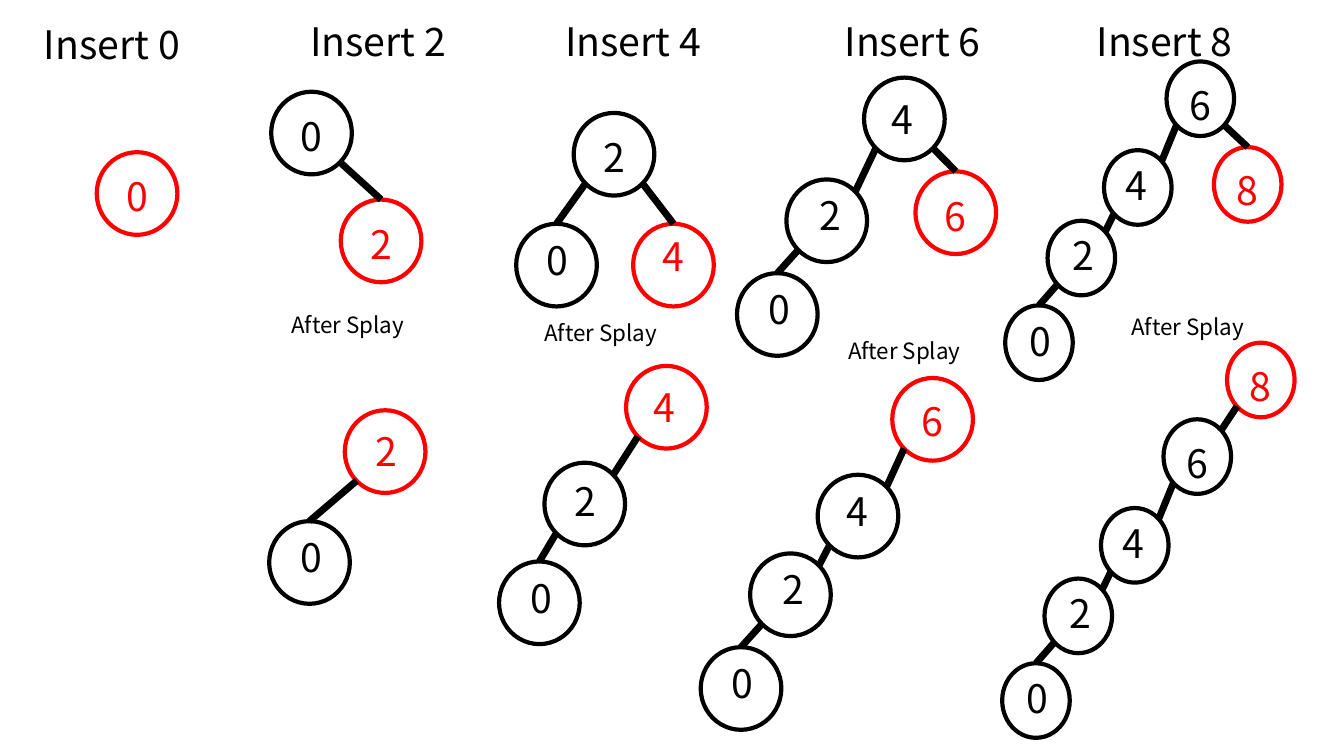
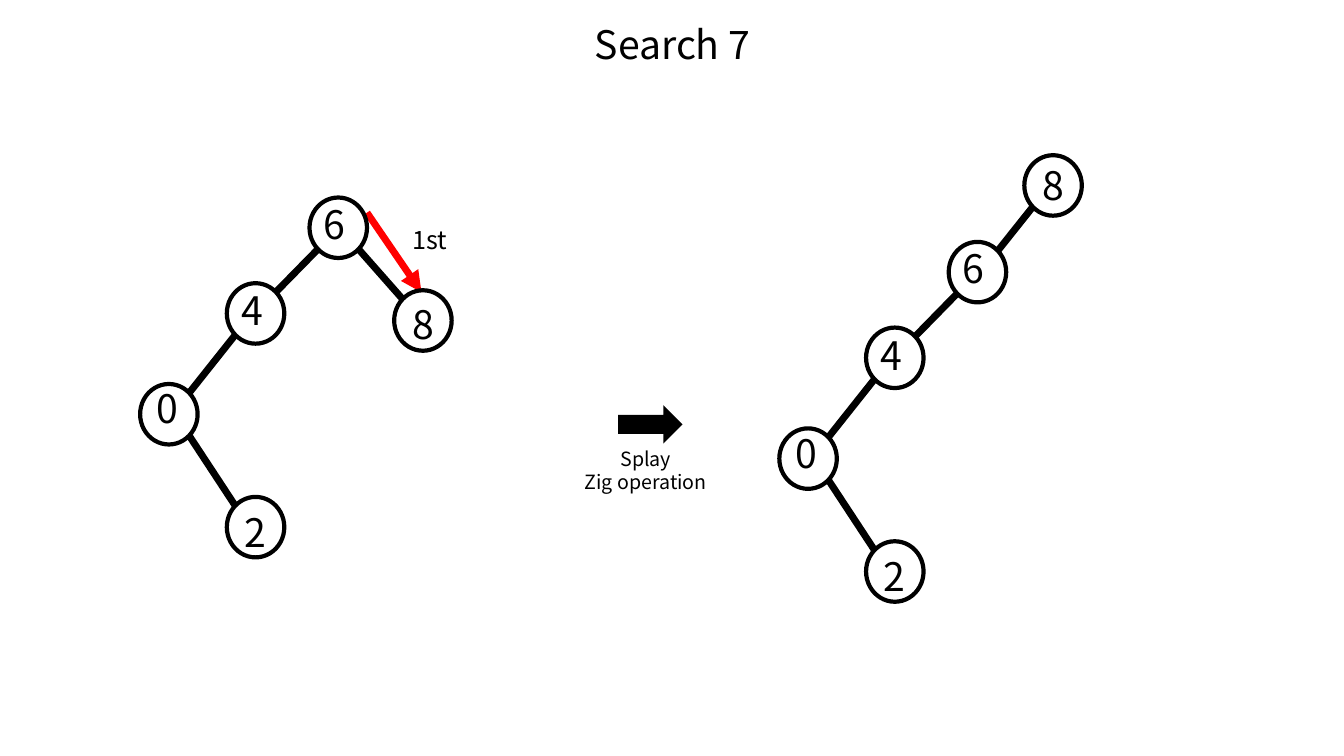
from dataclasses import dataclass

from lxml import etree
from pptx import Presentation
from pptx.dml.color import RGBColor
from pptx.enum.shapes import MSO_CONNECTOR, MSO_SHAPE
from pptx.enum.text import PP_ALIGN
from pptx.oxml.ns import qn
from pptx.util import Inches, Pt

OVAL = MSO_SHAPE.OVAL
RIGHT_ARROW = MSO_SHAPE.RIGHT_ARROW
STRAIGHT = MSO_CONNECTOR.STRAIGHT
CENTER = PP_ALIGN.CENTER

FONT = "Noto Sans CJK KR"
BLACK = "000000"
RED = "FF0000"
TITLE_SIZE = 28
LABEL_HEIGHT = 0.57
COLUMN_WIDTH = 1.8
TOP_SITE = 0
DIAGONAL = 0.5 ** 0.5

LARGE = (0.8, 0.82)
MEDIUM = (0.67, 0.74)
SMALL = (0.57, 0.6)


@dataclass
class Node:
    """Key, top left corner within the tree, and shift of the key from the centre."""
    key: int
    x: float
    y: float
    shift_x: float = 0
    shift_y: float = 0


INSERT_8_CHAIN = [
    Node(6, 1.6, 0, 0, 0.06),
    Node(4, 0.98, 0.88, -0.01, -0.02),
    Node(2, 0.42, 1.58, 0.02, -0.03),
    Node(0, 0, 2.42, 0.01, -0.02),
]
SEARCH_CHAIN = [
    Node(6, 1.68, 0, -0.04, -0.04),
    Node(4, 0.86, 0.85, -0.03, -0.03),
    Node(0, 0, 1.85, -0.02, -0.06),
    Node(2, 0.86, 2.97, 0, 0.05),
]


@dataclass
class Stage:
    """A tree and its place relative to its column."""
    x: float
    y: float
    nodes: list


@dataclass
class Insertion:
    key: int
    left: float
    title_top: float
    before: Stage
    size: tuple = LARGE
    caption: tuple = None
    after: Stage = None


INSERTIONS = [
    Insertion(0, 0.21, 0.15, Stage(0.75, 1.51, [Node(0, 0, 0, 0, 0.03)])),
    Insertion(
        2, 2.85, 0.12,
        Stage(-0.16, 0.91, [Node(0, 0, 0, 0, 0.03), Node(2, 0.69, 1.07, 0, 0.03)]),
        caption=(-0.3, 3.04),
        after=Stage(-0.18, 4.07, [Node(2, 0.75, 0, 0.01), Node(0, 0, 1.1, 0.02, -0.05)]),
    ),
    Insertion(
        4, 5.38, 0.12,
        Stage(-0.26, 1.12, [
            Node(2, 0.57, 0, 0, 0.03),
            Node(0, 0, 1.1, 0.01, -0.05),
            Node(4, 1.16, 1.1, 0, -0.09),
        ]),
        caption=(-0.32, 3.12),
        after=Stage(-0.43, 3.63, [
            Node(4, 1.26, 0, -0.02),
            Node(2, 0.45, 0.96, 0.01, -0.03),
            Node(0, 0, 1.94, 0.02, -0.05),
        ]),
    ),
    Insertion(
        6, 8.15, 0.12,
        Stage(-0.84, 0.77, [
            Node(4, 1.26, 0, -0.02),
            Node(2, 0.49, 1.01, 0.04, -0.06),
            Node(0, 0, 1.94, 0.02, -0.05),
            Node(6, 1.77, 0.93, 0, 0.03),
        ]),
        caption=(-0.08, 3.3),
        after=Stage(-1.2, 3.75, [
            Node(6, 1.9, 0, 0, 0.02),
            Node(4, 1.16, 0.96, -0.01, -0.05),
            Node(2, 0.49, 1.74, 0.03, -0.06),
            Node(0, 0, 2.67, 0.01, -0.05),
        ]),
    ),
    Insertion(
        8, 10.65, 0.12,
        Stage(-0.68, 0.61, INSERT_8_CHAIN + [Node(8, 2.07, 0.85, 0, 0.06)]),
        size=MEDIUM,
        caption=(0.23, 3.06),
        after=Stage(-0.71, 4.16, [Node(8, 2.23, -0.76, 0, 0.06)] + INSERT_8_CHAIN),
    ),
]


def rgb(color):
    return RGBColor.from_string(color)


def add_text(slide, left, top, width, height, lines, size, color=BLACK):
    frame = slide.shapes.add_textbox(
        Inches(left), Inches(top), Inches(width), Inches(height)).text_frame
    frame.word_wrap = True
    frame.text = lines
    for paragraph in frame.paragraphs:
        paragraph.alignment = CENTER
        paragraph.font.name = FONT
        paragraph.font.size = Pt(size)
        paragraph.font.color.rgb = rgb(color)


def add_line(slide, start, end, color=BLACK):
    line = slide.shapes.add_connector(STRAIGHT, *(Inches(n) for n in (*start, *end)))
    line.line.color.rgb = rgb(color)
    line.line.width = Pt(5)
    etree.SubElement(line._element.spPr, qn("a:effectLst"))
    return line


def add_node(slide, left, top, size, node, color):
    width, height = size
    x, y = left + node.x, top + node.y
    circle = slide.shapes.add_shape(
        OVAL, Inches(x), Inches(y), Inches(width), Inches(height))
    circle.shadow.inherit = False
    circle.fill.background()
    circle.line.color.rgb = rgb(color)
    circle.line.width = Pt(3)
    label_width = width + 0.1
    add_text(slide, x - 0.05 + node.shift_x,
             y + (height - LABEL_HEIGHT) / 2 + node.shift_y,
             label_width, LABEL_HEIGHT, str(node.key), TITLE_SIZE, color)
    return circle


def find_parents(nodes):
    """Map each key to its parent when the keys enter a search tree in order."""
    keys = [node.key for node in nodes]
    parents = {}
    for i, key in enumerate(keys[1:], start=1):
        smaller = [k for k in keys[:i] if k < key]
        larger = [k for k in keys[:i] if k > key]
        neighbours = ([max(smaller)] if smaller else []) + ([min(larger)] if larger else [])
        parents[key] = max(neighbours, key=keys.index)
    return parents


def add_tree(slide, left, top, nodes, size, red_key=None, leaves_from_top=False):
    """Draw a search tree; nodes are listed with each parent before its children."""
    def rim(node, side, vertical):
        width, height = size
        return (left + node.x + width / 2 * (1 + side * DIAGONAL),
                top + node.y + height / 2 * (1 + vertical * DIAGONAL))

    circles = {
        node.key: add_node(slide, left, top, size, node,
                           RED if node.key == red_key else BLACK)
        for node in nodes
    }
    by_key = {node.key: node for node in nodes}
    parents = find_parents(nodes)
    for key, parent in parents.items():
        side = 1 if key > parent else -1
        edge = add_line(slide, rim(by_key[parent], side, 1), rim(by_key[key], -side, -1))
        if leaves_from_top and key not in parents.values():
            edge.end_connect(circles[key], TOP_SITE)


def add_insertion(slide, insertion):
    left = insertion.left
    add_text(slide, left, insertion.title_top, COLUMN_WIDTH, LABEL_HEIGHT,
             f"Insert {insertion.key}", TITLE_SIZE)
    if insertion.caption:
        x, top = insertion.caption
        add_text(slide, left + x, top, COLUMN_WIDTH, 0.37, "After Splay", 16)
    for stage in filter(None, (insertion.before, insertion.after)):
        add_tree(slide, left + stage.x, stage.y, stage.nodes, insertion.size,
                 red_key=insertion.key, leaves_from_top=True)


def add_operation(slide, left, top):
    arrow = slide.shapes.add_shape(
        RIGHT_ARROW, Inches(left + 0.85), Inches(top), Inches(0.64), Inches(0.38))
    arrow.shadow.inherit = False
    arrow.fill.solid()
    arrow.fill.fore_color.rgb = rgb(BLACK)
    arrow.line.fill.background()
    add_text(slide, left, top + 0.36, 2.25, LABEL_HEIGHT, "Splay\nZig operation", 14)


def add_search_step(slide, left, top):
    step = add_line(slide, (left, top), (left + 0.54, top + 0.79), RED)
    etree.SubElement(step.line._get_or_add_ln(), qn("a:tailEnd"), type="triangle")
    add_text(slide, left + 0.13, top + 0.07, 0.99, 0.4, "1st", 18)


def build_insert_slide(slide):
    for insertion in INSERTIONS:
        add_insertion(slide, insertion)


def build_search_slide(slide):
    add_text(slide, 5.28, 0.15, 2.78, LABEL_HEIGHT, "Search 7", TITLE_SIZE)
    add_operation(slide, 5.28, 4.02)
    add_search_step(slide, 3.64, 2.11)
    add_tree(slide, 1.39, 1.96, SEARCH_CHAIN + [Node(8, 2.52, 0.92, 0, 0.04)], SMALL)
    add_tree(slide, 7.73, 2.4, [Node(8, 2.43, -0.86)] + SEARCH_CHAIN, SMALL)


def main():
    deck = Presentation()
    deck.slide_width = Inches(13.33)
    deck.slide_height = Inches(7.5)
    blank = deck.slide_layouts[6]
    for build in (build_insert_slide, build_search_slide):
        build(deck.slides.add_slide(blank))
    deck.save("out.pptx")


if __name__ == "__main__":
    main()
